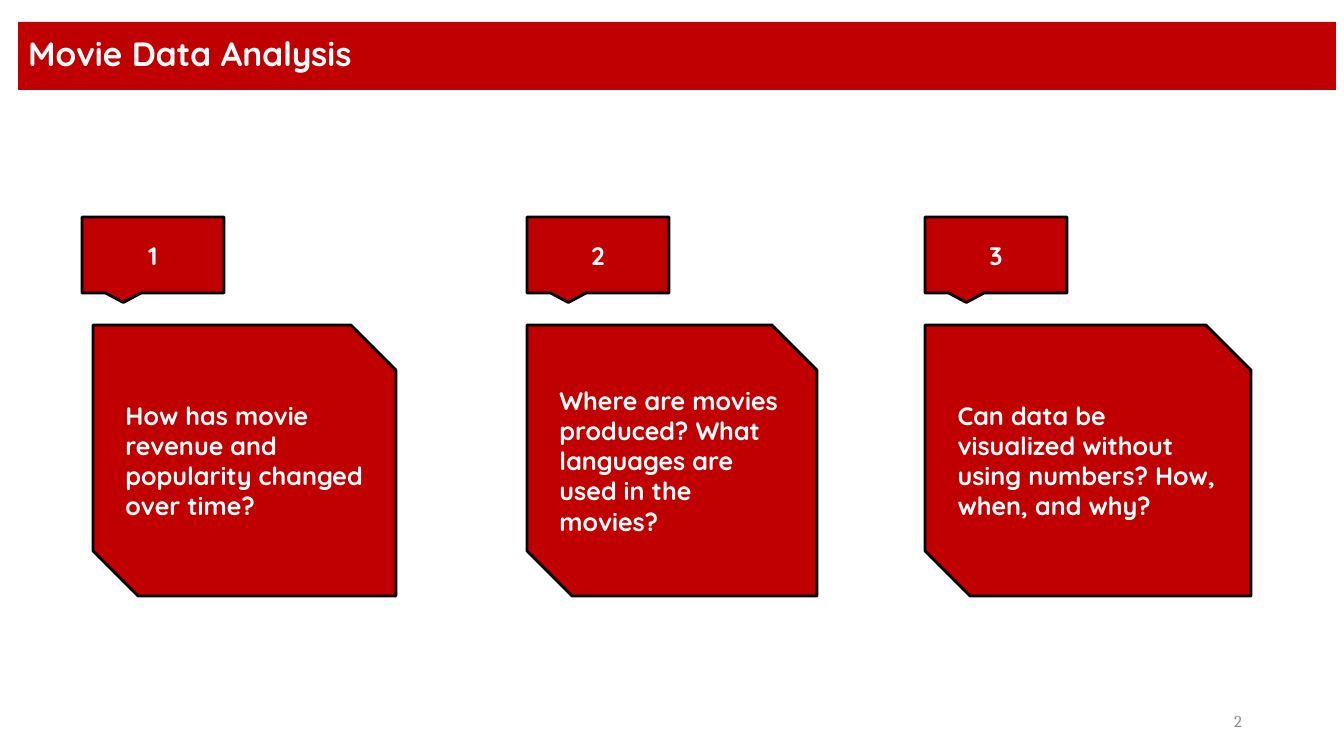
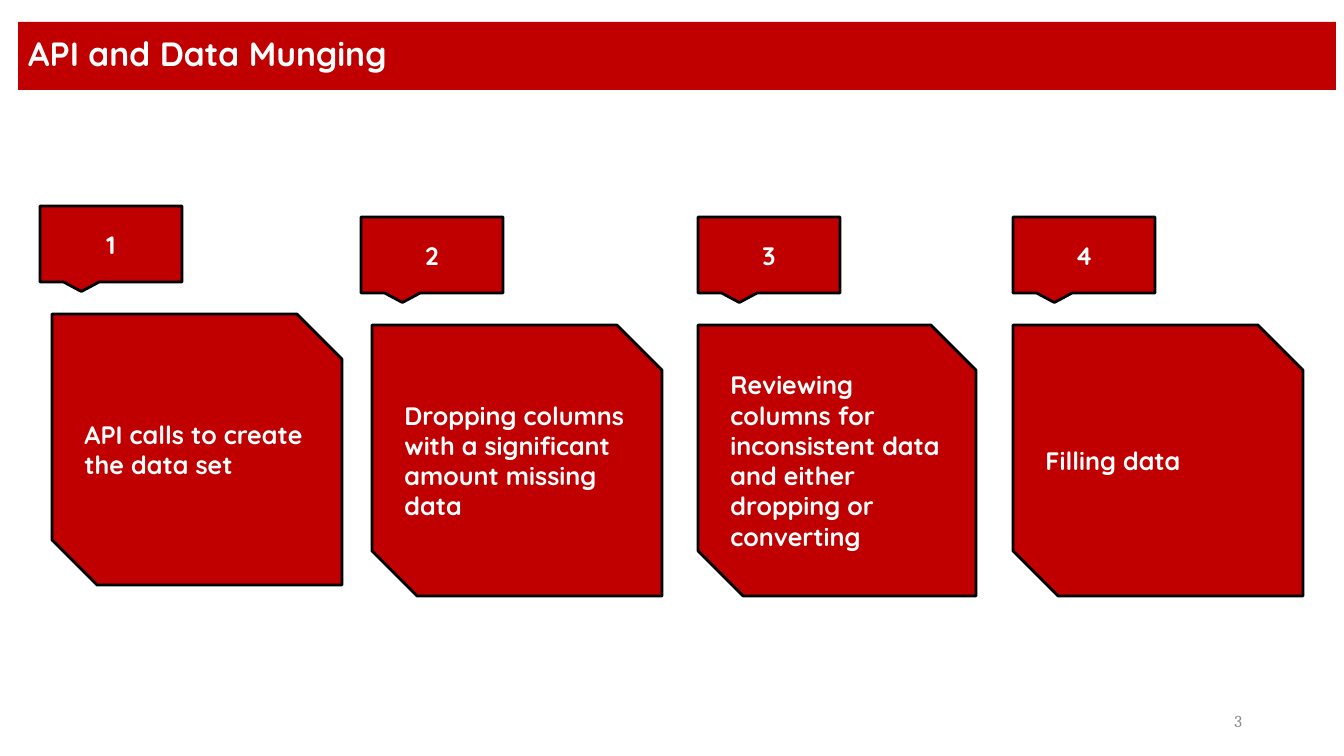
"""Build two slides of numbered cards about a movie data analysis."""
from pptx import Presentation
from pptx.dml.color import RGBColor
from pptx.enum.shapes import MSO_SHAPE as SHAPE
from pptx.enum.text import MSO_ANCHOR as ANCHOR, PP_ALIGN as ALIGN
from pptx.util import Emu, Pt

COLORS = {"red": "C00000", "black": "000000", "white": "FFFFFF", "gray": "8C8C8C"}
HEAD_FONT, NUMBER_FONT = "Quicksand", "Cambria"
SLIDE_W, SLIDE_H = 1344, 756
TITLE_BOX = (18, 22, 1318, 68)
PAGE_BOX = (950, 701, 302, 40)
TAG_W, TAG_H = 142, 76
CARD_H, CARD_DROP = 271, 108

# Each card: tag left, tag top, card left, card width, text
SLIDES = [
    {"page": 2, "title": "Movie Data Analysis", "cards": [
        (82, 217, 93, 303, "How has movie revenue and popularity changed over time?"),
        (527, 217, 527, 290, "Where are movies produced? What languages are used in the movies?"),
        (925, 217, 925, 326, "Can data be visualized without using numbers? How, when, and why?"),
    ]},
    {"page": 3, "title": "API and Data Munging", "cards": [
        (40, 206, 52, 290, "API calls to create the data set"),
        (361, 217, 372, 290, "Dropping columns with a significant amount missing data"),
        (698, 217, 698, 278, "Reviewing columns for inconsistent data and either dropping or converting"),
        (1013, 217, 1013, 290, "Filling data"),
    ]},
]


def px(n):
    return Emu(round(n * 914400 / 100.8))


def rgb(name):
    return RGBColor.from_string(COLORS[name])


def write(s, text, size, align=ALIGN.LEFT, font=HEAD_FONT, color="white", bold=True):
    tf = s.text_frame
    tf.word_wrap = True
    tf.vertical_anchor = ANCHOR.MIDDLE
    p = tf.paragraphs[0]
    p.alignment = align
    r = p.add_run()
    r.text = text
    r.font.size = Pt(size)
    r.font.name = font
    r.font.bold = bold
    r.font.color.rgb = rgb(color)
    return p


def fill_red(s):
    s.fill.solid()
    s.fill.fore_color.rgb = rgb("red")


def add_box(sp, kind, box, text, align=ALIGN.LEFT):
    s = sp.add_shape(kind, *map(px, box))
    s.shadow.inherit = False
    fill_red(s)
    s.line.color.rgb = rgb("black")
    s.line.width = Pt(2)
    write(s, text, 18, align)


def add_title(sp, text):
    s = sp.title
    s.left, s.top, s.width, s.height = map(px, TITLE_BOX)
    fill_red(s)
    write(s, text, 24).line_spacing = 0.9


def build_slide(prs, content):
    sp = prs.slides.add_slide(prs.slide_layouts[5]).shapes
    add_title(sp, content["title"])
    for number, (tag_x, tag_y, card_x, card_w, text) in enumerate(content["cards"], 1):
        add_box(sp, SHAPE.SNIP_2_DIAG_RECTANGLE,
                (card_x, tag_y + CARD_DROP, card_w, CARD_H), text)
        add_box(sp, SHAPE.RECTANGULAR_CALLOUT,
                (tag_x, tag_y, TAG_W, TAG_H), str(number), ALIGN.CENTER)
    page = sp.add_textbox(*map(px, PAGE_BOX))
    write(page, str(content["page"]), 12, ALIGN.RIGHT, NUMBER_FONT, "gray", False)


def main():
    prs = Presentation()
    prs.slide_width, prs.slide_height = px(SLIDE_W), px(SLIDE_H)
    for content in SLIDES:
        build_slide(prs, content)
    prs.save("out.pptx")


if __name__ == "__main__":
    main()
